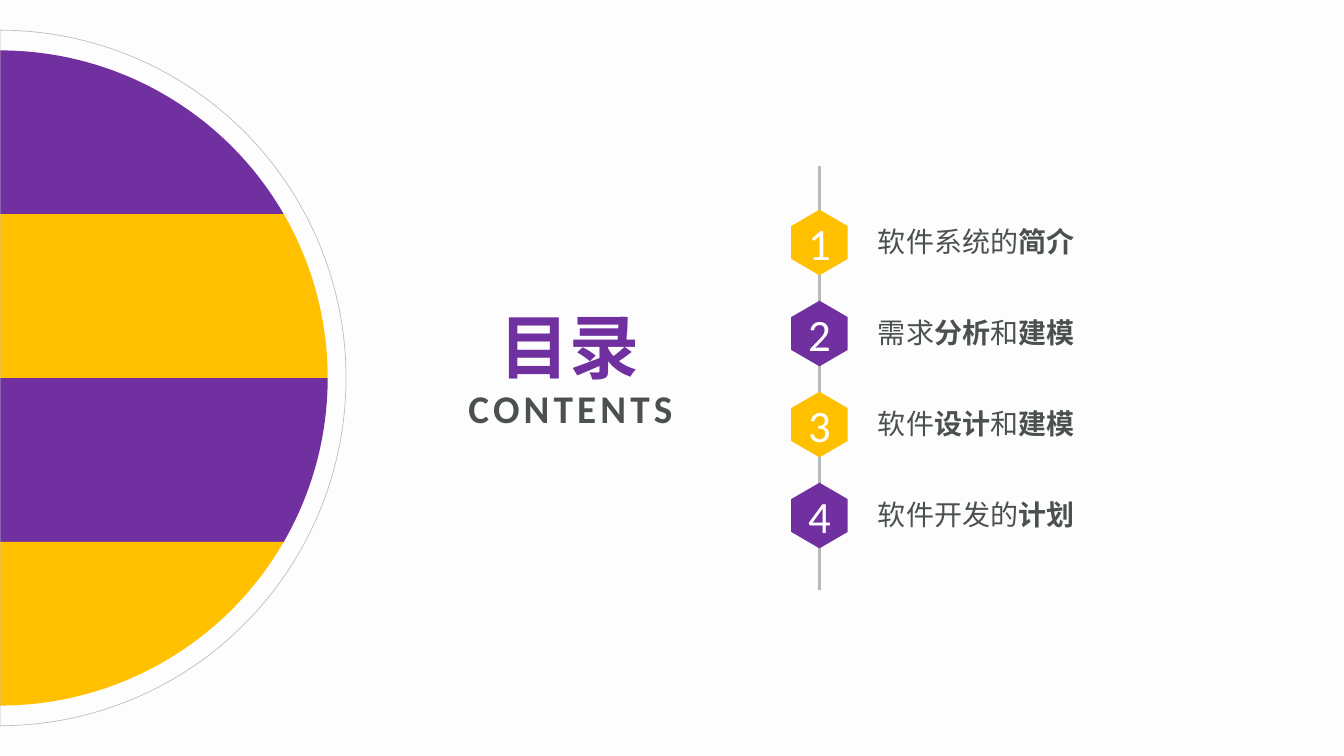
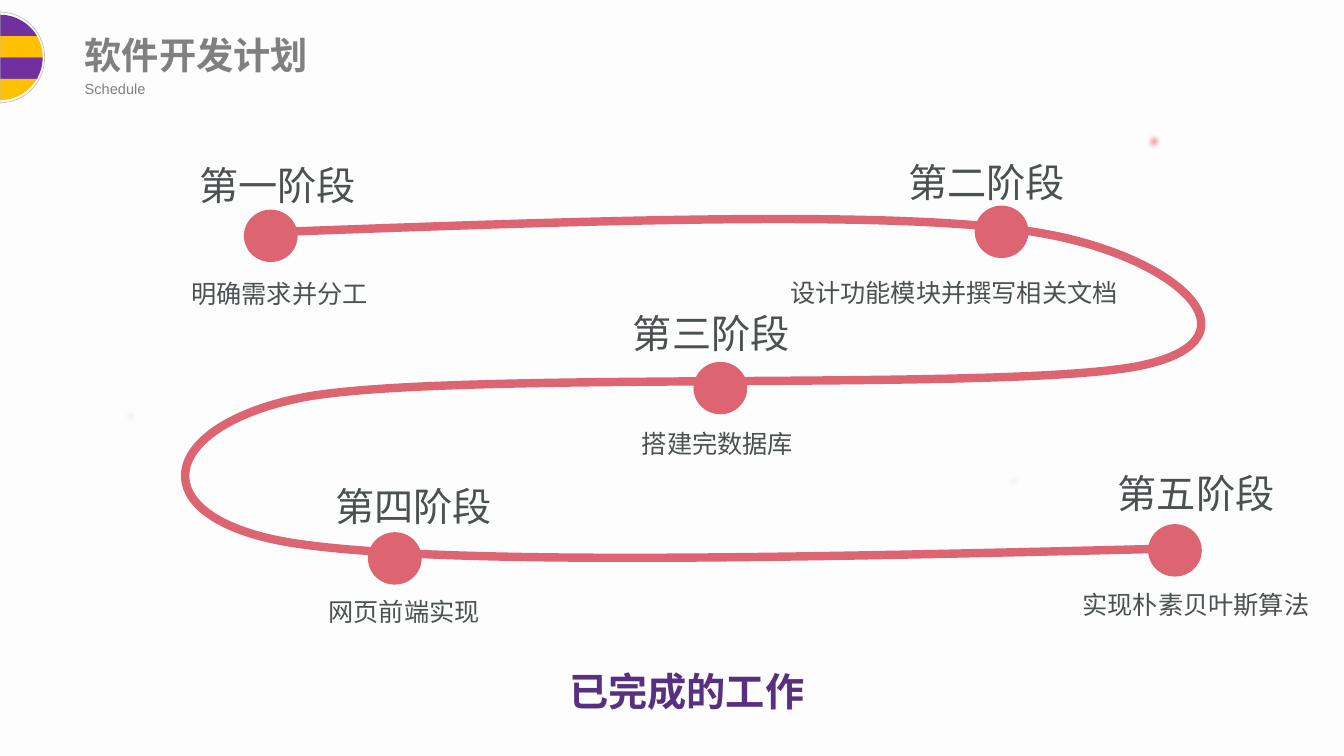
import math
from dataclasses import dataclass

from lxml import etree
from pptx import Presentation
from pptx import util as u
from pptx.dml.color import RGBColor
from pptx.enum import shapes, text
from pptx.oxml import ns


@dataclass(frozen=True)
class Theme:
    paper: str = "FDFDFD"
    purple: str = "7030A0"
    gold: str = "FFC000"
    ink: str = "4B5050"
    gray: str = "808080"
    spine: str = "B6BABA"
    ring: str = "BFBFBF"
    road: str = "DD6572"
    closing: str = "583082"
    white: str = "FFFFFF"
    body: str = "Calibri"
    head: str = "Arial"
    cjk: str = "Noto Sans CJK TC"
    cover: float = 50
    number: float = 32
    large: float = 28
    title: float = 26.6
    item: float = 20
    note: float = 18
    small: float = 10.4


T = Theme()
BANDS = (T.purple, T.gold)
WIDTH, HEIGHT = u.Inches(13.33), u.Inches(7.5)
COL, ROW = WIDTH / 40, HEIGHT / 30
LEFT, CENTER = text.PP_ALIGN.LEFT, text.PP_ALIGN.CENTER
TOP, MIDDLE = text.MSO_ANCHOR.TOP, text.MSO_ANCHOR.MIDDLE

AGENDA = [
    [("软件系统的", False), ("简介", True)],
    [("需求", False), ("分析", True), ("和", False), ("建模", True)],
    [("软件", False), ("设计", True), ("和", False), ("建模", True)],
    [("软件开发的", False), ("计划", True)],
]
STAGES = [
    ("第一阶段", "明确需求并分工", (1.76, 0.32), (0.14, -1.8), (-0.1, 2.84)),
    ("第二阶段", "设计功能模块并撰写相关文档", (23.51, 0.16), (21.23, -1.92), (17.72, 2.8)),
    ("第三阶段", "搭建完数据库", (15.14, 6.36), (13.04, 4.08), (13.31, 8.8)),
    ("第四阶段", "网页前端实现", (5.45, 13.12), (4.19, 10.96), (3.98, 15.48)),
    ("第五阶段", "实现朴素贝叶斯算法", (28.67, 12.8), (27.47, 10.44), (26.42, 15.2)),
]
ROAD = [
    (2.93, 1.2), (11.96, 0.76), (20.99, 0.32), (25.25, 1.2),
    (29.51, 2.08), (32.18, 5.4), (28.55, 6.48),
    (24.89, 7.6), (7.64, 6.64), (3.41, 7.8),
    (-0.82, 8.96), (-1.3, 12.52), (3.08, 13.52),
    (7.46, 14.48), (18.56, 14.12), (29.66, 13.76),
]
SPARKS = [
    (-1.93, 8.04, 0.66, 20.8), (28.46, -2.92, 0.78, 20.6),
    (8.39, 3.92, 0.6, 64.4), (7.25, 17.8, 0.6, 64.4),
    (24.35, 10.64, 0.66, 20.8), (17.72, 19.68, 0.66, 20.8),
]


def grid(x, y, w, h):
    return [u.Emu(round(v)) for v in (x * COL, y * ROW, w * COL, h * ROW)]


def rgb(value):
    return RGBColor.from_string(value)


def apply(target, values):
    for name, value in values.items():
        setattr(target, name, value)


def paint(sp, fill=None, line=None, width=0):
    sp.shadow.inherit = False
    if fill:
        sp.fill.solid()
        sp.fill.fore_color.rgb = rgb(fill)
    else:
        sp.fill.background()
    if line:
        sp.line.color.rgb = rgb(line)
        sp.line.width = u.Pt(width)
    else:
        sp.line.fill.background()


def bezier(knots, t):
    weights = [math.comb(3, n) * t ** n * (1 - t) ** (3 - n) for n in range(4)]
    return tuple(sum(a * q[axis] for a, q in zip(weights, knots)) for axis in (0, 1))


def outline(parent, start, legs, close=True, **look):
    extent, here = [], start
    for leg in legs:
        extent += [bezier([here, *leg], i / 40) for i in range(1, 41)] if len(leg) == 3 else leg
        here = leg[-1]
    builder = parent.shapes.build_freeform(round(start[0]), round(start[1]), scale=1.0)
    builder.add_line_segments([(round(x), round(y)) for x, y in extent], close=close)
    sp = builder.convert_to_shape()
    trail = sp._element.spPr.find(".//" + ns.qn("a:path"))
    for step in list(trail):
        trail.remove(step)
    for tag, leg in [("a:moveTo", [start])] + [
            ("a:cubicBezTo" if len(leg) == 3 else "a:lnTo", leg) for leg in legs]:
        step = etree.SubElement(trail, ns.qn(tag))
        for x, y in leg:
            pt = etree.SubElement(step, ns.qn("a:pt"))
            pt.set("x", str(round(x - sp.left)))
            pt.set("y", str(round(y - sp.top)))
    if close:
        etree.SubElement(trail, ns.qn("a:close"))
    paint(sp, **look)
    return sp


def add_run(p, words, size, color, font=T.body, bold=False, spacing=0):
    r = p.add_run()
    r.text = words
    apply(r.font, {"size": u.Pt(size), "name": font, "bold": bold})
    r.font.color.rgb = rgb(color)
    rPr = r.font._element
    etree.SubElement(rPr, ns.qn("a:ea")).set("typeface", T.cjk)
    if spacing:
        rPr.set("spc", str(spacing))


def frame(sp, anchor=MIDDLE, wrap=True, inset=(0, 0)):
    side, edge = map(u.Inches, inset)
    tf = sp.text_frame
    apply(tf, {
        "auto_size": text.MSO_AUTO_SIZE.NONE, "word_wrap": wrap,
        "vertical_anchor": anchor, "margin_left": side,
        "margin_right": side, "margin_top": edge, "margin_bottom": edge,
    })
    return tf


def write(sp, words, size, color, align=LEFT, box=None, anchor=MIDDLE,
          wrap=True, inset=(0, 0), **style):
    if box:
        apply(sp, dict(zip(("left", "top", "width", "height"), grid(*box))))
    p = frame(sp, anchor, wrap, inset).paragraphs[0]
    p.alignment = align
    add_run(p, words, size, color, **style)
    return p


def label(s, box, words, size, color, **style):
    return write(s.shapes.add_textbox(*grid(*box)), words, size, color, **style)


def half_disc(s, box):
    x, y, w, h = grid(*box)
    cy = y + h / 2
    group = s.shapes.add_group_shape()

    def arc(rx, ry, a, b):
        k = 4 / 3 * math.tan((b - a) / 4)
        unit = [(math.cos(a), math.sin(a)),
                (math.cos(a) - k * math.sin(a), math.sin(a) + k * math.cos(a)),
                (math.cos(b) + k * math.sin(b), math.sin(b) - k * math.cos(b)),
                (math.cos(b), math.sin(b))]
        return [(x + rx * p, cy + ry * q) for p, q in unit]

    radius = h * 0.471
    for i in range(4):
        low, high = i / 2 - 1, (i + 1) / 2 - 1
        curve = arc(radius, radius, math.asin(low), math.asin(high))
        legs = [[(x, cy + radius * low)], [curve[0]], curve[1:]]
        outline(group, (x, cy + radius * high), legs, fill=BANDS[i % 2])
    curves = [arc(w, h / 2, (i - 2) * math.pi / 4, (i - 1) * math.pi / 4) for i in range(4)]
    outline(group, (x, y + h), [[(x, y)]] + [c[1:] for c in curves],
            line=T.ring, width=0.5)


def agenda(s, box):
    x, y, w, h = grid(*box)
    half_w, half_h = 0.84 * COL, h * 0.0775
    first, pitch = y + h * 0.18, h * 0.215
    cx = x + half_w
    spine = s.shapes.add_connector(
        shapes.MSO_CONNECTOR.STRAIGHT, round(cx), y, round(cx), y + h)
    spine.line.color.rgb = rgb(T.spine)
    spine.line.width = u.Pt(2)
    etree.SubElement(spine._element.spPr, ns.qn("a:effectLst"))
    for i in range(len(AGENDA)):
        cy = first + i * pitch
        corners = [(cx + a * half_w, cy + b * half_h) for a, b in (
            (0, -1), (1, -0.5), (1, 0.5), (0, 1), (-1, 0.5), (-1, -0.5))]
        sp = outline(s, corners[0], [[c] for c in corners[1:]], fill=BANDS[(i + 1) % 2])
        write(sp, str(i + 1), T.number, T.white, align=CENTER)
    body = s.placeholders[1]
    line_height = u.Pt(T.item * 1.2)
    left = x + 2.58 * COL
    apply(body, {
        "left": round(left), "top": round(first - line_height * 0.55),
        "width": round(x + w - left), "height": round(pitch * len(AGENDA)),
    })
    tf = frame(body, TOP)
    for i, parts in enumerate(AGENDA):
        p = tf.paragraphs[0] if i == 0 else tf.add_paragraph()
        apply(p, {"alignment": LEFT, "space_before": u.Pt(0),
                  "space_after": u.Emu(round(pitch - line_height))})
        pPr = p._p.get_or_add_pPr()
        pPr.set("marL", "0")
        pPr.set("indent", "0")
        etree.SubElement(pPr, ns.qn("a:buNone"))
        for words, bold in parts:
            add_run(p, words, T.item, T.ink, bold=bold)


def spark(s, box, angle):
    sp = s.shapes.add_shape(shapes.MSO_SHAPE.RECTANGLE, *grid(*box))
    sp.rotation = angle
    paint(sp, T.road, T.road, 1)
    effects = sp._element.spPr.find(ns.qn("a:effectLst"))
    etree.SubElement(effects, ns.qn("a:softEdge")).set("rad", str(u.Pt(5)))


def timeline(s, box):
    x, y, w, h = box

    def at(point):
        return x + point[0], y + point[1]

    knots = [(p * COL, q * ROW) for p, q in map(at, ROAD)]
    outline(s, knots[0], [knots[k:k + 3] for k in range(1, len(knots), 3)],
            close=False, line=T.road, width=6)
    plain = {"anchor": TOP, "wrap": False, "inset": (0.1, 0.05)}
    for name, note, dot, head, foot in STAGES:
        oval = s.shapes.add_shape(shapes.MSO_SHAPE.OVAL, *grid(*at(dot), 1.6, 2.08))
        paint(oval, T.road)
        label(s, (*at(head), 5.31, 2.28), name, T.large, T.ink, font=T.cjk, **plain)
        label(s, (*at(foot), len(note) * 0.75 + 0.6, 1.6), note, T.note, T.ink, **plain)
    for dx, dy, size, angle in SPARKS:
        spark(s, (*at((dx, dy)), size, size * 1.39), angle)


def contents_slide(prs):
    s = prs.slides.add_slide(prs.slide_layouts[1])
    half_disc(s, (0, 1.2, 10.3, 27.6))
    write(s.shapes.title, "目录", T.cover, T.purple, align=CENTER,
          box=(14.05, 12, 5.8, 3.44), bold=True)
    label(s, (11.25, 14.48, 11.46, 3.44), "CONTENTS", T.large, T.ink,
          align=CENTER, wrap=False, bold=True, spacing=300)
    agenda(s, (23.55, 6.6, 16, 16.8))


def schedule_slide(prs):
    s = prs.slides.add_slide(prs.slide_layouts[5])
    half_disc(s, (0, 0.48, 1.33, 3.6))
    write(s.shapes.title, "软件开发计划", T.title, T.gray,
          box=(2.52, 1.28, 13.2, 1.8), font=T.head, bold=True)
    label(s, (2.52, 3.16, 9.5, 0.72), "Schedule", T.small, T.gray, font=T.head)
    timeline(s, (5.5, 8, 30.3, 14))
    p = label(s, (15.78, 24.92, 10.8, 3.68), "已完成的工作", T.large, T.closing,
              align=text.PP_ALIGN.JUSTIFY, anchor=TOP, inset=(0.1, 0.05),
              font=T.head, bold=True)
    apply(p, {"line_spacing": 1.73, "space_before": u.Pt(13), "space_after": u.Pt(13)})
    p._p.get_or_add_pPr().set("indent", str(u.Inches(0.29)))


def main():
    prs = Presentation()
    apply(prs, {"slide_width": WIDTH, "slide_height": HEIGHT})
    fill = prs.slide_master.background.fill
    fill.solid()
    fill.fore_color.rgb = rgb(T.paper)
    contents_slide(prs)
    schedule_slide(prs)
    prs.save("out.pptx")


if __name__ == "__main__":
    main()
